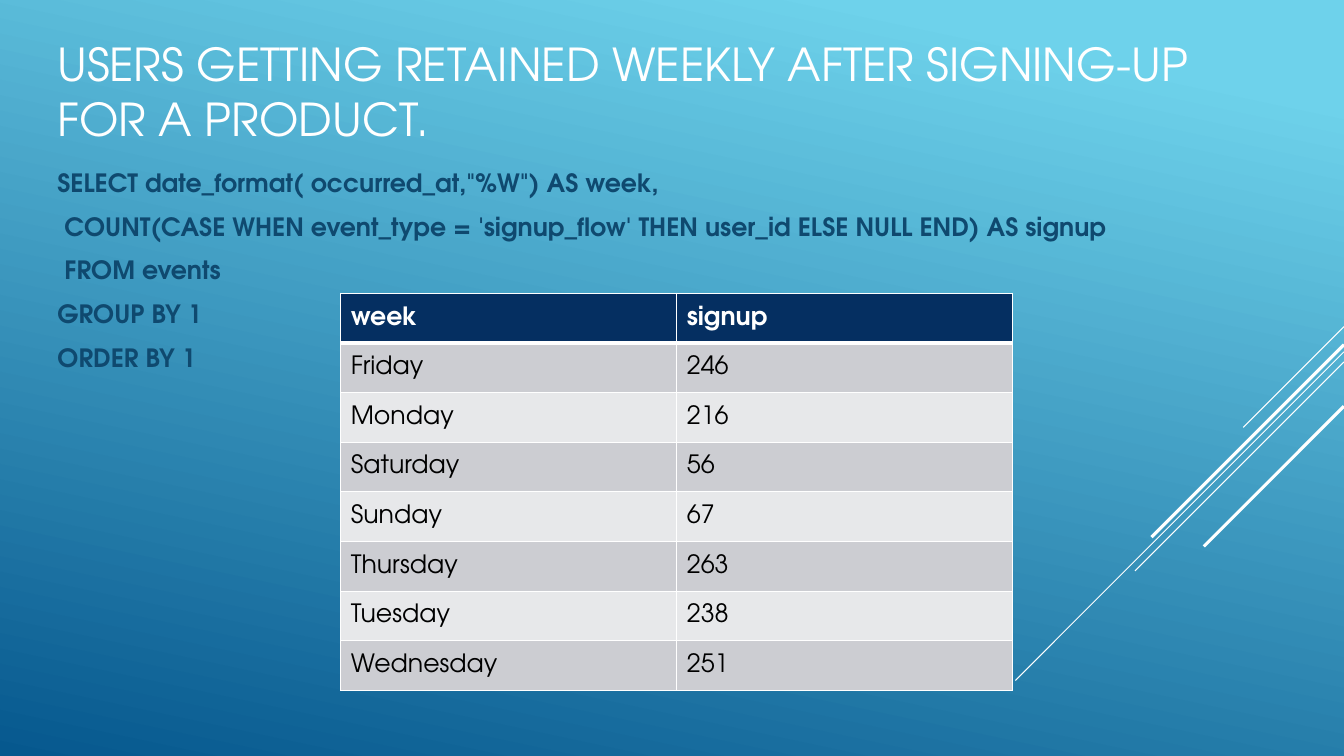
import dataclasses

import pptx
import pptx.dml.color
import pptx.enum.shapes
import pptx.enum.text
import pptx.oxml
import pptx.oxml.ns
import pptx.util

SLIDE_WIDTH, SLIDE_HEIGHT = 960, 540
FONT_NAME = "TeX Gyre Adventor"
COLORS = {
    "sky": "6ED2EB",
    "deep": "06588E",
    "white": "FFFFFF",
    "black": "000000",
    "query": "0F496F",
    "header": "052F61",
    "odd_row": "CCCDD2",
    "even_row": "E7E8EA",
}

TITLE = "USERS GETTING RETAINED WEEKLY AFTER SIGNING-UP FOR A PRODUCT."
QUERY_LINES = [
    'SELECT date_format( occurred_at,"%W") AS week,',
    " COUNT(CASE WHEN event_type = 'signup_flow' THEN user_id ELSE NULL END) AS signup",
    " FROM events",
    "GROUP BY 1",
    "ORDER BY 1",
]
SIGNUP_ROWS = [
    ("week", "signup"),
    ("Friday", "246"),
    ("Monday", "216"),
    ("Saturday", "56"),
    ("Sunday", "67"),
    ("Thursday", "263"),
    ("Tuesday", "238"),
    ("Wednesday", "251"),
]


@dataclasses.dataclass
class Box:
    left: float
    top: float
    width: float
    height: float


@dataclasses.dataclass
class DiagonalLine:
    """A 45 degree line running down and left from the slide's right edge."""
    top: float
    run: float
    weight: float


@dataclasses.dataclass
class TextFormat:
    size: float
    color: str
    bold: bool = False


TITLE_BOX = Box(33.8, 15.1, 853.2, 92.2)
QUERY_BOX = Box(33.8, 115.9, 877.7, 153.4)
TABLE_BOX = Box(243.4, 209.5, 480, 283.7)
DIAGONAL_LINES = [
    DiagonalLine(233.3, 72, 0.75),
    DiagonalLine(251.3, 234.7, 0.75),
    DiagonalLine(258.5, 149.3, 0.75),
    DiagonalLine(246.2, 137.5, 2.25),
    DiagonalLine(290.2, 100.1, 2.25),
]


def rgb(name: str) -> pptx.dml.color.RGBColor:
    return pptx.dml.color.RGBColor.from_string(COLORS[name])


def set_attributes(target, values: dict) -> None:
    for name, value in values.items():
        setattr(target, name, value)


def place(shape, box: Box) -> None:
    set_attributes(shape, {
        name: pptx.util.Pt(value)
        for name, value in dataclasses.asdict(box).items()
    })


def write_text(paragraph, text: str, text_format: TextFormat) -> None:
    run = paragraph.add_run()
    run.text = text
    set_attributes(run.font, {
        "name": FONT_NAME,
        "size": pptx.util.Pt(text_format.size),
        "bold": text_format.bold,
    })
    run.font.color.rgb = rgb(text_format.color)


def paint_background(slide) -> None:
    fill = slide.background.fill
    fill.gradient()
    fill.gradient_angle = 258
    stops = [("sky", 0.1), ("deep", 1.0)]
    for stop, (color, position) in zip(fill.gradient_stops, stops):
        stop.color.rgb = rgb(color)
        stop.position = position


def draw_diagonal(slide, line: DiagonalLine) -> None:
    ends = (SLIDE_WIDTH, line.top, SLIDE_WIDTH - line.run, line.top + line.run)
    connector = slide.shapes.add_connector(
        pptx.enum.shapes.MSO_CONNECTOR.STRAIGHT,
        *(pptx.util.Pt(value) for value in ends))
    connector.line.color.rgb = rgb("white")
    connector.line.width = pptx.util.Pt(line.weight)
    properties = connector._element.spPr
    properties.append(pptx.oxml.parse_xml(
        f'<a:effectLst {pptx.oxml.ns.nsdecls("a")}/>'))


def fill_title(slide) -> None:
    title = slide.shapes.title
    place(title, TITLE_BOX)
    set_attributes(title.text_frame, {
        "vertical_anchor": pptx.enum.text.MSO_ANCHOR.BOTTOM,
        "auto_size": pptx.enum.text.MSO_AUTO_SIZE.NONE,
        "word_wrap": True,
    })
    paragraph = title.text_frame.paragraphs[0]
    paragraph.alignment = pptx.enum.text.PP_ALIGN.LEFT
    write_text(paragraph, TITLE, TextFormat(32.4, "white"))


def fill_query(slide) -> None:
    body = slide.placeholders[1]
    place(body, QUERY_BOX)
    frame = body.text_frame
    set_attributes(frame, {
        "vertical_anchor": pptx.enum.text.MSO_ANCHOR.TOP,
        "auto_size": pptx.enum.text.MSO_AUTO_SIZE.NONE,
        "word_wrap": True,
    })
    for index, text in enumerate(QUERY_LINES):
        paragraph = frame.add_paragraph() if index else frame.paragraphs[0]
        set_attributes(paragraph, {
            "space_before": pptx.util.Pt(3.6),
            "space_after": pptx.util.Pt(6),
        })
        # Code lines carry no bullet or indent
        properties = paragraph._p.get_or_add_pPr()
        properties.set("marL", "0")
        properties.set("indent", "0")
        properties.append(pptx.oxml.parse_xml(
            f'<a:buNone {pptx.oxml.ns.nsdecls("a")}/>'))
        write_text(paragraph, text, TextFormat(18, "query", True))


def add_borders(cell, weights: dict[str, float]) -> None:
    properties = cell._tc.get_or_add_tcPr()
    for side, weight in weights.items():
        properties.append(pptx.oxml.parse_xml(
            f'<a:ln{side} {pptx.oxml.ns.nsdecls("a")} w="{pptx.util.Pt(weight)}">'
            f'<a:solidFill><a:srgbClr val="{COLORS["white"]}"/></a:solidFill>'
            f'</a:ln{side}>'))


def add_signup_table(slide) -> None:
    box = [pptx.util.Pt(value) for value in dataclasses.astuple(TABLE_BOX)]
    table = slide.shapes.add_table(
        len(SIGNUP_ROWS), len(SIGNUP_ROWS[0]), *box).table
    for row_index, row in enumerate(SIGNUP_ROWS):
        is_header = row_index == 0
        fill = "header" if is_header else "odd_row" if row_index % 2 else "even_row"
        text_format = TextFormat(18, "white" if is_header else "black", is_header)
        weights = {"L": 1, "R": 1, "T": 3 if row_index == 1 else 1,
                   "B": 3 if is_header else 1}
        for column_index, text in enumerate(row):
            cell = table.cell(row_index, column_index)
            add_borders(cell, weights)
            cell.fill.solid()
            cell.fill.fore_color.rgb = rgb(fill)
            cell.vertical_anchor = pptx.enum.text.MSO_ANCHOR.MIDDLE
            write_text(cell.text_frame.paragraphs[0], text, text_format)


def main() -> None:
    presentation = pptx.Presentation()
    presentation.slide_width = pptx.util.Pt(SLIDE_WIDTH)
    presentation.slide_height = pptx.util.Pt(SLIDE_HEIGHT)
    slide = presentation.slides.add_slide(presentation.slide_layouts[1])
    paint_background(slide)
    for line in DIAGONAL_LINES:
        draw_diagonal(slide, line)
    fill_title(slide)
    fill_query(slide)
    add_signup_table(slide)
    presentation.save("out.pptx")


if __name__ == "__main__":
    main()
